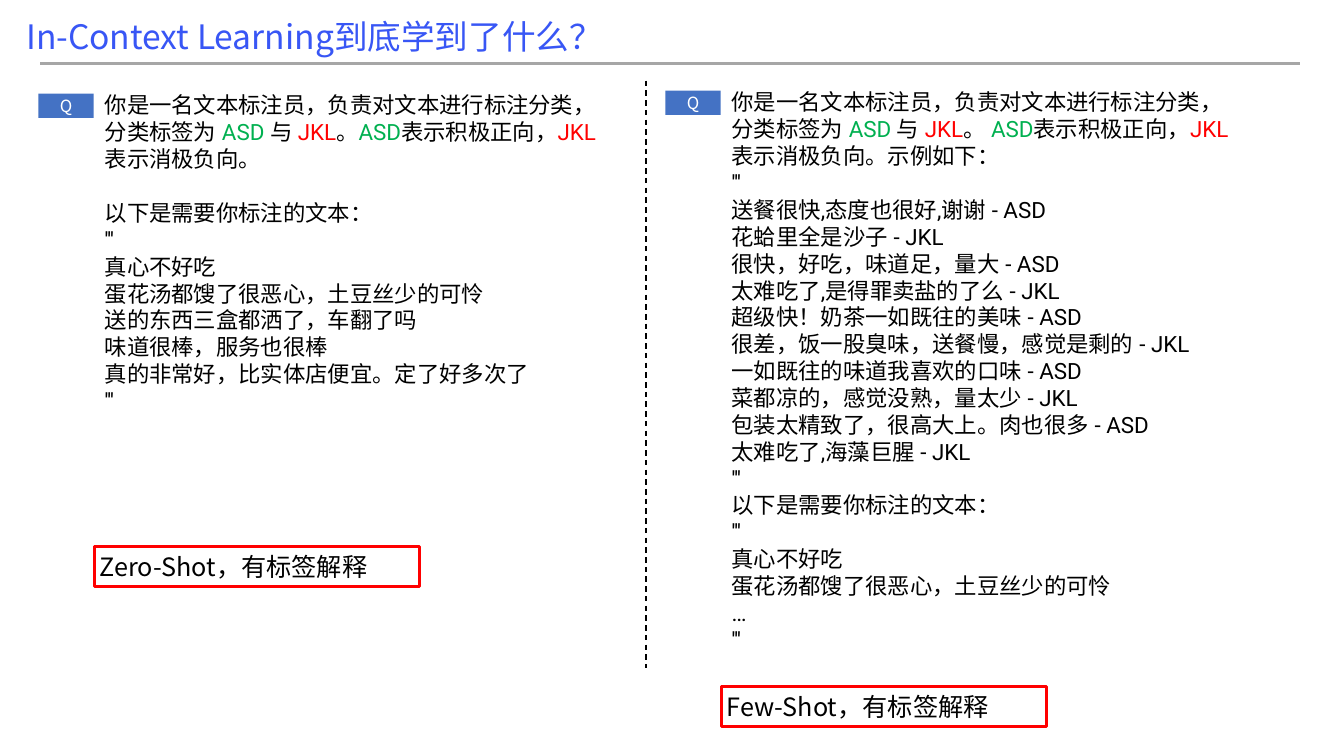
"""Build a slide comparing zero-shot and few-shot prompts with explained labels."""
from dataclasses import dataclass

from lxml import etree
from pptx import Presentation
from pptx import util as u
from pptx.dml.color import RGBColor
from pptx.enum import dml, shapes, text
from pptx.oxml.ns import qn

COLUMNS, ROWS = 160, 90
CELL = u.Inches(1 / 12)


@dataclass(frozen=True)
class Theme:
    """Colours, fonts and type sizes of the slide."""
    title: str = "3856F5"
    ink: str = "000000"
    positive: str = "00B050"
    negative: str = "FF0000"
    tag: str = "4472C4"
    tag_text: str = "FFFFFF"
    rule: str = "A6A6A6"
    heading_font: str = "Noto Sans CJK SC"
    body_font: str = "Roboto"
    title_size: float = 24
    caption_size: float = 18
    body_size: float = 16
    tag_size: float = 12
    line_pitch: float = 19.2


THEME = Theme()


@dataclass(frozen=True)
class Box:
    """A rectangle in grid columns and rows."""
    left: float
    top: float
    width: float
    height: float

    def emu(self) -> tuple[int, ...]:
        """Return the rectangle in drawing units."""
        return tuple(round(value * CELL) for value in (self.left, self.top, self.width, self.height))


@dataclass(frozen=True)
class Line:
    """A straight line on the grid."""
    start: tuple[float, float]
    end: tuple[float, float]
    color: str
    weight: float
    dashed: bool = False


@dataclass(frozen=True)
class Panel:
    """One prompt with its tag and caption."""
    left: float
    top: float
    text_rows: float
    caption_top: float
    caption: str
    label_gap: str
    instruction_end: str
    lines: tuple[str, ...]
    gap_line: int | None = None


LINES = (
    Line((4.8, 7.56), (154.8, 7.56), THEME.rule, 1.5),
    Line((76.92, 9.6), (76.92, 79.56), THEME.ink, 1, dashed=True),
)

PANELS = (
    Panel(4.56, 11.16, 39.96, 65.04, "Zero-Shot，有标签解释", "。", "表示消极负向。", (
        "以下是需要你标注的文本：",
        "'''",
        "真心不好吃",
        "蛋花汤都馊了很恶心，土豆丝少的可怜",
        "送的东西三盒都洒了，车翻了吗",
        "味道很棒，服务也很棒",
        "真的非常好，比实体店便宜。定了好多次了",
        "'''",
    ), gap_line=0),
    Panel(79.2, 10.8, 69.12, 81.72, "Few-Shot，有标签解释", "。 ", "表示消极负向。示例如下：", (
        "'''",
        "送餐很快,态度也很好,谢谢 - ASD",
        "花蛤里全是沙子 - JKL",
        "很快，好吃，味道足，量大 - ASD",
        "太难吃了,是得罪卖盐的了么 - JKL",
        "超级快！奶茶一如既往的美味 - ASD",
        "很差，饭一股臭味，送餐慢，感觉是剩的 - JKL",
        "一如既往的味道我喜欢的口味 - ASD",
        "菜都凉的，感觉没熟，量太少 - JKL",
        "包装太精致了，很高大上。肉也很多 - ASD",
        "太难吃了,海藻巨腥 - JKL",
        "'''",
        "以下是需要你标注的文本：",
        "'''",
        "真心不好吃",
        "蛋花汤都馊了很恶心，土豆丝少的可怜",
        "…",
        "'''",
    )),
)


def format_run(run, font: str, size: float, color: str) -> None:
    """Give a run one typeface for all scripts, a size and a colour."""
    run.font.name = font
    run.font.size = u.Pt(size)
    run.font.color.rgb = RGBColor.from_string(color)
    properties = run.font._element
    properties.find(qn("a:latin")).addnext(etree.Element(qn("a:ea"), typeface=font))


def draw_title(slide, wording: str) -> None:
    """Place and format the title placeholder."""
    title = slide.shapes.title
    title.left, title.top, title.width, title.height = Box(1.92, 1.32, 119.52, 6).emu()
    frame = title.text_frame
    frame.text = wording
    frame.auto_size = text.MSO_AUTO_SIZE.NONE
    frame.vertical_anchor = text.MSO_ANCHOR.MIDDLE
    frame.paragraphs[0].alignment = text.PP_ALIGN.LEFT
    format_run(frame.paragraphs[0].runs[0], THEME.heading_font, THEME.title_size, THEME.title)


def draw_line(slide, line: Line) -> None:
    """Draw a straight line without a shadow."""
    ends = (round(value * CELL) for value in line.start + line.end)
    connector = slide.shapes.add_connector(shapes.MSO_CONNECTOR.STRAIGHT, *ends)
    connector.line.color.rgb = RGBColor.from_string(line.color)
    connector.line.width = u.Pt(line.weight)
    if line.dashed:
        connector.line.dash_style = dml.MSO_LINE.DASH
    etree.SubElement(connector._element.spPr, qn("a:effectLst"))


def draw_label(slide, box: Box, wording: str, size: float, color: str, alignment,
               fill: str | None = None, outline: str | None = None) -> None:
    """Draw a rectangle holding one line of text."""
    shape = slide.shapes.add_shape(shapes.MSO_SHAPE.RECTANGLE, *box.emu())
    shape.shadow.inherit = False
    if fill:
        shape.fill.solid()
        shape.fill.fore_color.rgb = RGBColor.from_string(fill)
    else:
        shape.fill.background()
    if outline:
        shape.line.color.rgb = RGBColor.from_string(outline)
        shape.line.width = u.Pt(2)
    else:
        shape.line.fill.background()
    frame = shape.text_frame
    frame.text = wording
    frame.vertical_anchor = text.MSO_ANCHOR.MIDDLE
    frame.margin_left = frame.margin_right = frame.margin_top = frame.margin_bottom = u.Inches(0.05)
    frame.paragraphs[0].alignment = alignment
    format_run(frame.paragraphs[0].runs[0], THEME.heading_font, size, color)


def draw_prompt(slide, box: Box, panel: Panel) -> None:
    """Write the instruction with coloured labels, then the lines under it."""
    frame = slide.shapes.add_textbox(*box.emu()).text_frame
    frame.word_wrap = True
    instruction = (
        ("你是一名文本标注员，负责对文本进行标注分类，分类标签为 ", THEME.ink),
        ("ASD ", THEME.positive), ("与 ", THEME.ink), ("JKL", THEME.negative),
        (panel.label_gap, THEME.ink), ("ASD", THEME.positive),
        ("表示积极正向，", THEME.ink), ("JKL", THEME.negative),
        (panel.instruction_end, THEME.ink),
    )
    for wording, color in instruction:
        run = frame.paragraphs[0].add_run()
        run.text = wording
        format_run(run, THEME.body_font, THEME.body_size, color)
    for index, wording in enumerate(panel.lines):
        paragraph = frame.add_paragraph()
        paragraph.text = wording
        format_run(paragraph.runs[0], THEME.body_font, THEME.body_size, THEME.ink)
        if index == panel.gap_line:
            paragraph.space_before = u.Pt(THEME.line_pitch)
    for paragraph in frame.paragraphs:
        paragraph.line_spacing = u.Pt(THEME.line_pitch)


def draw_panel(slide, panel: Panel) -> None:
    """Draw a prompt, its tag and its caption."""
    text_left = panel.left + 6.72
    draw_prompt(slide, Box(text_left, panel.top - 0.84, 63.36, panel.text_rows), panel)
    draw_label(slide, Box(panel.left, panel.top, 6.6, 2.88), "Q", THEME.tag_size,
               THEME.tag_text, text.PP_ALIGN.CENTER, fill=THEME.tag)
    draw_label(slide, Box(text_left, panel.caption_top, 38.64, 4.8), panel.caption,
               THEME.caption_size, THEME.ink, text.PP_ALIGN.LEFT, outline=THEME.negative)


def main() -> None:
    """Build and save the presentation."""
    presentation = Presentation()
    presentation.slide_width, presentation.slide_height = COLUMNS * CELL, ROWS * CELL
    slide = presentation.slides.add_slide(presentation.slide_layouts[5])
    draw_title(slide, "In-Context Learning到底学到了什么？")
    for line in LINES:
        draw_line(slide, line)
    for panel in PANELS:
        draw_panel(slide, panel)
    presentation.save("out.pptx")


if __name__ == "__main__":
    main()
